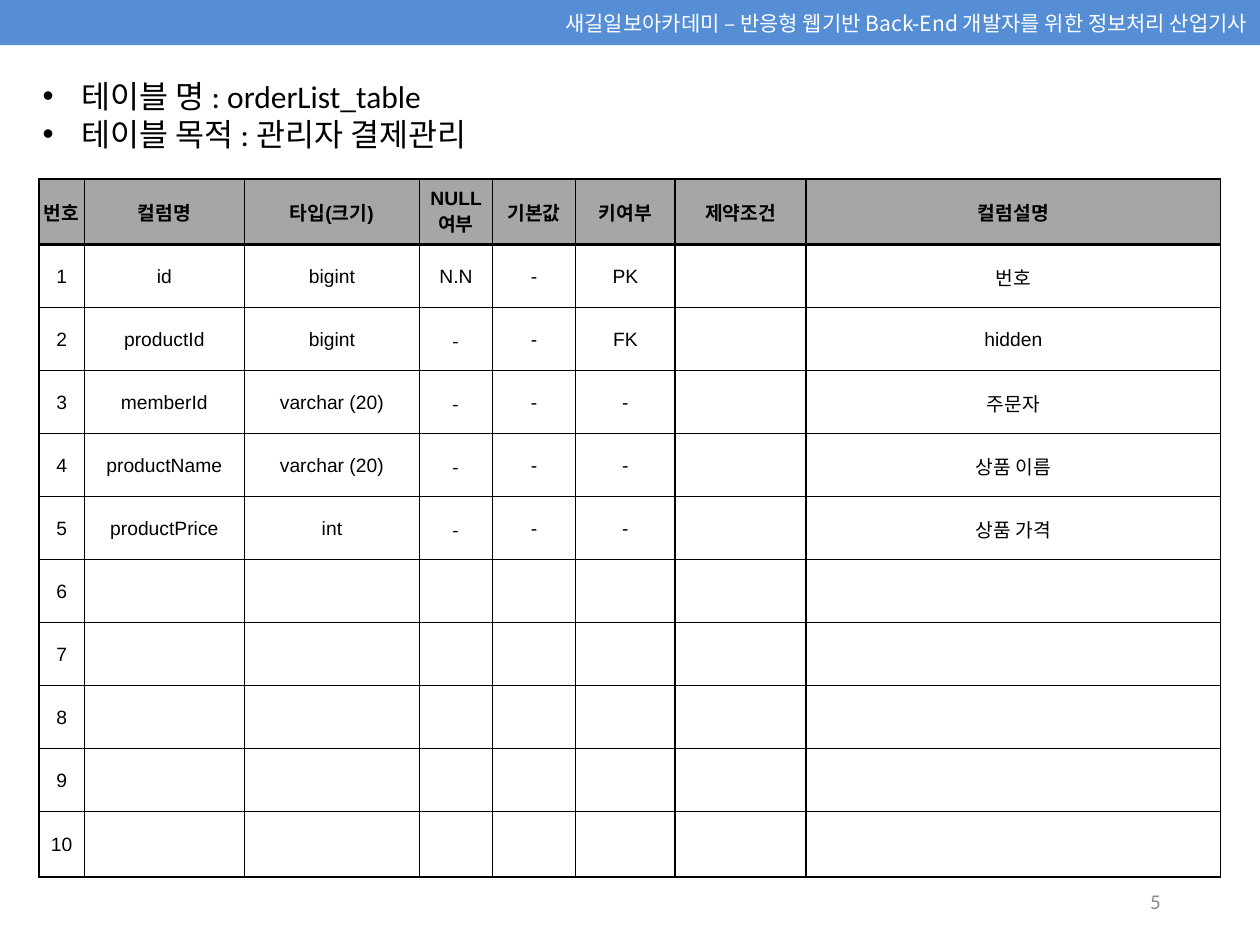
from dataclasses import dataclass

from lxml import etree
from pptx import Presentation
from pptx.dml.color import RGBColor
from pptx.enum.shapes import MSO_SHAPE
from pptx.enum.text import MSO_ANCHOR, PP_ALIGN
from pptx.oxml.ns import qn
from pptx.util import Emu, Inches, Pt

RECT = MSO_SHAPE.RECTANGLE
MIDDLE = MSO_ANCHOR.MIDDLE
CENTER, RIGHT = PP_ALIGN.CENTER, PP_ALIGN.RIGHT

BLUE = RGBColor(0x55, 0x8E, 0xD5)
GRAY = RGBColor(0xA6, 0xA6, 0xA6)
NUMBER_GRAY = RGBColor(0x8C, 0x8C, 0x8C)
BLACK = RGBColor(0, 0, 0)
WHITE = RGBColor(0xFF, 0xFF, 0xFF)

KOREAN = "Noto Sans CJK KR"
SLIDE_W, SLIDE_H = Inches(10), Inches(7.5)


@dataclass(frozen=True)
class Style:
    """Look of a run of text."""
    size: float
    font: str
    color: RGBColor = BLACK
    bold: bool = False


@dataclass(frozen=True)
class Column:
    """Heading and width in inches of a table column."""
    heading: str
    width: float


BAND_STYLE = Style(12, KOREAN, WHITE)
BULLET_STYLE = Style(18, "Calibri")
NUMBER_STYLE = Style(12, "Calibri", NUMBER_GRAY)
HEAD_STYLE = Style(11, "Arial", bold=True)
BODY_STYLE = Style(11, "Arial")
DASH_STYLE = Style(11, KOREAN)

COLUMNS = [
    Column("번호", 0.36), Column("컬럼명", 1.27), Column("타입(크기)", 1.39),
    Column("NULL 여부", 0.58), Column("기본값", 0.66), Column("키여부", 0.79),
    Column("제약조건", 1.04), Column("컬럼설명", 3.29),
]
NULL_COLUMN = 3
FIELDS = [
    ("id", "bigint", "N.N", "-", "PK", "", "번호"),
    ("productId", "bigint", "-", "-", "FK", "", "hidden"),
    ("memberId", "varchar (20)", "-", "-", "-", "", "주문자"),
    ("productName", "varchar (20)", "-", "-", "-", "", "상품 이름"),
    ("productPrice", "int", "-", "-", "-", "", "상품 가격"),
]
BODY_ROWS = 10
ROW_H, END_ROW_H = 0.5, 0.52


def write(p, text: str, style: Style, align=None) -> None:
    """Put styled text into a paragraph."""
    p.text = text
    p.alignment = align
    for r in p.runs:
        r.font.size = Pt(style.size)
        r.font.bold = style.bold
        r.font.color.rgb = style.color
        r.font.name = style.font
        etree.SubElement(r.font._element, qn("a:ea"), typeface=KOREAN)


def add_band(slide, text: str) -> None:
    """Draw the course band across the top."""
    sp = slide.shapes.add_shape(RECT, 0, 0, SLIDE_W, Inches(0.36))
    sp.shadow.inherit = False
    sp.fill.solid()
    sp.fill.fore_color.rgb = BLUE
    sp.line.fill.background()
    sp.text_frame.vertical_anchor = MIDDLE
    write(sp.text_frame.paragraphs[0], text, BAND_STYLE, RIGHT)


def add_bullets(slide, lines: list[str]) -> None:
    """Write the bulleted summary of the table."""
    box = slide.shapes.add_textbox(Inches(0.24), Inches(0.56), Inches(9.49), Inches(0.69))
    tf = box.text_frame
    tf.word_wrap = True
    for i, line in enumerate(lines):
        p = tf.add_paragraph() if i else tf.paragraphs[0]
        write(p, line, BULLET_STYLE)
        pPr = p._p.get_or_add_pPr()
        pPr.set("marL", str(Inches(0.31)))
        pPr.set("indent", str(-Inches(0.31)))
        etree.SubElement(pPr, qn("a:buFont"), typeface="Arial")
        etree.SubElement(pPr, qn("a:buChar"), char="•")


def add_borders(cell, top: float, bottom: float) -> None:
    """Outline a cell in black; widths in points."""
    tcPr = cell._tc.get_or_add_tcPr()
    for side, width in (("L", 1), ("R", 1), ("T", top), ("B", bottom)):
        ln = etree.SubElement(tcPr, qn(f"a:ln{side}"), w=str(Pt(width)))
        fill = etree.SubElement(ln, qn("a:solidFill"))
        etree.SubElement(fill, qn("a:srgbClr"), val=str(BLACK))


def format_cell(cell, row: int, col: int, text: str) -> None:
    """Set text, margins, borders and fill of a cell."""
    add_borders(cell, 2 if row == 1 else 1, 2 if row == 0 else 1)
    cell.margin_left = cell.margin_right = cell.margin_top = Inches(0.01)
    cell.margin_bottom = 0
    cell.vertical_anchor = MIDDLE
    style = BODY_STYLE
    if row == 0:
        style = HEAD_STYLE
        cell.fill.solid()
        cell.fill.fore_color.rgb = GRAY
    else:
        cell.fill.background()
        if col == NULL_COLUMN and text == "-":
            style = DASH_STYLE
    if text:
        write(cell.text_frame.paragraphs[0], text, style, CENTER)


def add_column_table(slide) -> None:
    """Draw the table of database columns."""
    blank = ("",) * (len(COLUMNS) - 1)
    fields = FIELDS + [blank] * (BODY_ROWS - len(FIELDS))
    rows = [tuple(c.heading for c in COLUMNS)]
    rows += [(str(n), *field) for n, field in enumerate(fields, 1)]
    heights = [END_ROW_H] + [ROW_H] * (BODY_ROWS - 1) + [END_ROW_H]
    width = Emu(sum(Inches(c.width) for c in COLUMNS))
    table = slide.shapes.add_table(
        len(rows), len(COLUMNS), Inches(0.31), Inches(1.42),
        width, Inches(sum(heights))).table
    table.first_row = table.horz_banding = False
    for col, column in zip(table.columns, COLUMNS):
        col.width = Inches(column.width)
    for i, texts in enumerate(rows):
        table.rows[i].height = Inches(heights[i])
        for j, text in enumerate(texts):
            format_cell(table.cell(i, j), i, j, text)


def add_page_number(slide, number: str) -> None:
    """Write the page number at the lower right."""
    box = slide.shapes.add_textbox(Inches(7.06), Inches(6.95), Inches(2.25), Inches(0.4))
    tf = box.text_frame
    tf.word_wrap = True
    tf.vertical_anchor = MIDDLE
    write(tf.paragraphs[0], number, NUMBER_STYLE, RIGHT)


def main() -> None:
    """Build and save the slide."""
    prs = Presentation()
    prs.slide_width, prs.slide_height = SLIDE_W, SLIDE_H
    slide = prs.slides.add_slide(prs.slide_layouts.get_by_name("Blank"))
    add_band(slide, "새길일보아카데미 – 반응형 웹기반 Back-End 개발자를 위한 정보처리 산업기사")
    add_page_number(slide, "5")
    add_bullets(slide, ["테이블 명 : orderList_table", "테이블 목적 : 관리자 결제관리"])
    add_column_table(slide)
    prs.save("out.pptx")


main()
